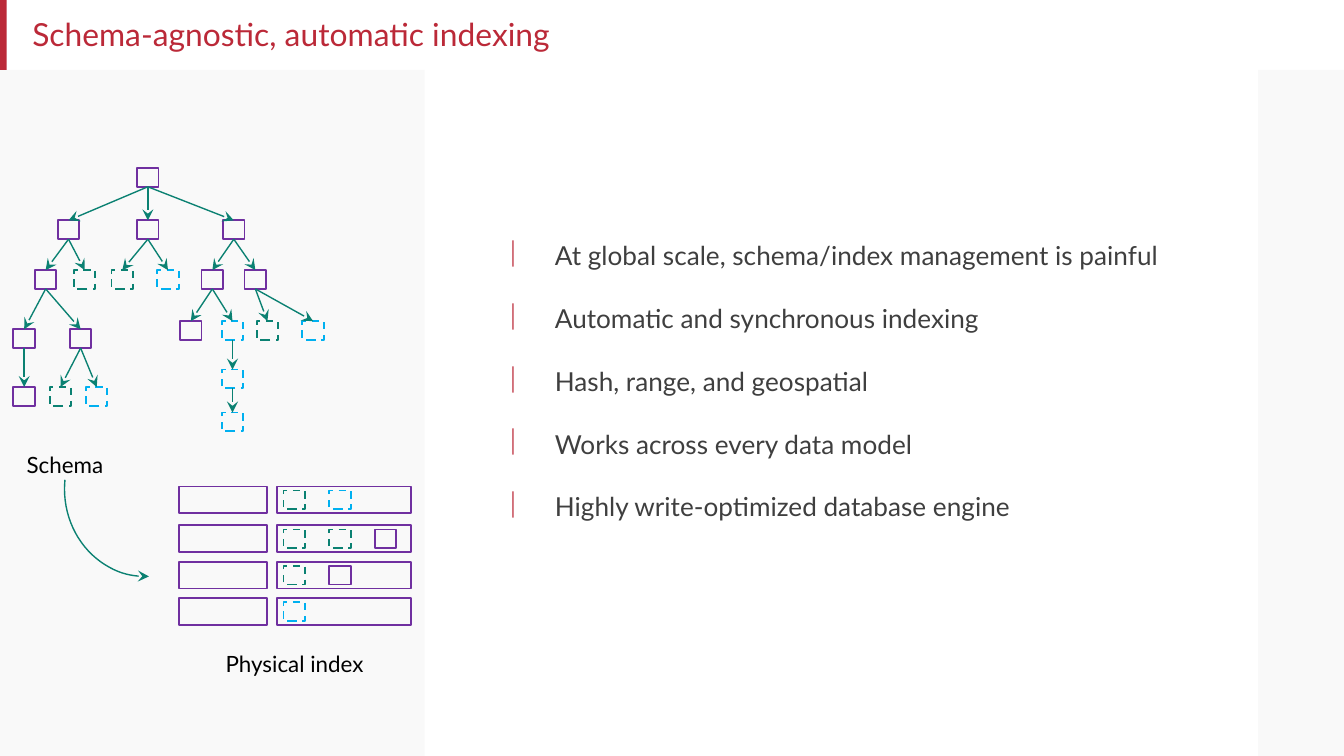
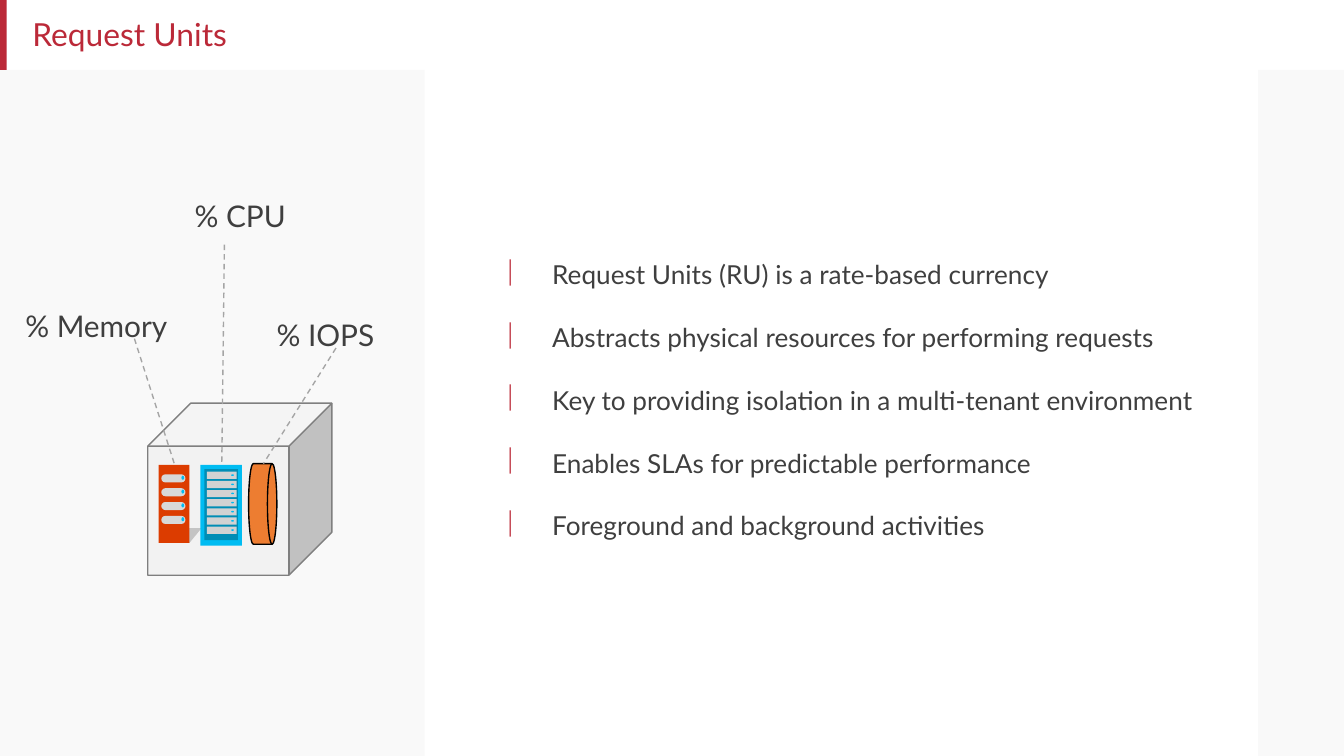
from lxml import etree
from pptx import Presentation
from pptx import util as u
from pptx.dml.color import RGBColor
from pptx.enum import dml, shapes, text
from pptx.oxml.ns import qn

CELL = 0.1
COLS, ROWS = 100, 56.25
FONT = "Lato"
RED, INK, BLACK, WHITE, PALE = "BB2938", "3F3F3F", "000000", "FFFFFF", "F9F9F9"
PURPLE, GREEN, BLUE, CYAN = "7030A0", "0B8172", "00B0F0", "00BCF2"
NODE_SIZE = (1.6, 1.4)
KIND = shapes.MSO_SHAPE

SCHEMA_TREE = (9.2, 0, PURPLE, [
    (3.3, 3.9, PURPLE, [
        (1.6, 7.6, PURPLE, [
            (0, 12, PURPLE, [(0, 16.3, PURPLE, [])]),
            (4.2, 12, PURPLE, [(2.7, 16.3, GREEN, []), (5.4, 16.3, BLUE, [])]),
        ]),
        (4.5, 7.6, GREEN, []),
    ]),
    (9.2, 3.9, PURPLE, [(7.3, 7.6, GREEN, []), (10.7, 7.6, BLUE, [])]),
    (15.6, 3.9, PURPLE, [
        (14, 7.6, PURPLE, [
            (12.4, 11.4, PURPLE, []),
            (15.5, 11.4, BLUE, [(15.5, 15, BLUE, [(15.5, 18.2, BLUE, [])])]),
        ]),
        (17.2, 7.6, PURPLE, [(18.1, 11.4, GREEN, []), (21.5, 11.4, BLUE, [])]),
    ]),
])
INDEX_ROWS = [(0, [GREEN, BLUE]), (2.9, [GREEN, GREEN, PURPLE]),
              (5.6, [GREEN, PURPLE]), (8.3, [BLUE])]
CALLOUTS = [
    ("% Memory", (0, 8.2, 18.2, 2.8), (9.1, 11), (12.1, 20.4)),
    ("% IOPS", (18.7, 8.9, 10.8, 2.8), (24.1, 11.7), (18.7, 20.3)),
    ("% CPU", (12.6, 0, 13.5, 2.8), (15.8, 4), (15.6, 20.4)),
]
INDEXING_POINTS = [
    "At global scale, schema/index management is painful",
    "Automatic and synchronous indexing",
    "Hash, range, and geospatial",
    "Works across every data model",
    "Highly write-optimized database engine",
]
REQUEST_POINTS = [
    "Request Units (RU) is a rate-based currency",
    "Abstracts physical resources for performing requests",
    "Key to providing isolation in a multi-tenant environment",
    "Enables SLAs for predictable performance",
    "Foreground and background activities",
]


def grid(n):
    """Turn a count of grid cells into a length."""
    return u.Inches(n * CELL)


def place(box, x, y, *size):
    """Lengths of a part whose corner is given relative to a box."""
    return [grid(n) for n in (box[0] + x, box[1] + y, *size)]


def apply(obj, **values):
    """Set each given attribute on an object."""
    for name, value in values.items():
        setattr(obj, name, value)


def paint(fill, color):
    """Fill with a hex colour, or clear when there is none."""
    if color is None:
        fill.background()
    else:
        fill.solid()
        fill.fore_color.rgb = RGBColor.from_string(color)


def outline(line, color, width=1, dashed=False):
    """Format a line."""
    paint(line.fill, color)
    if color:
        line.width = u.Pt(width)
    if dashed:
        line.dash_style = dml.MSO_LINE.DASH


def add(target, kind, pos, fill=None, line=None, width=1, dashed=False):
    """Add a preset shape without shadow."""
    s = target.add_shape(kind, *pos)
    s.shadow.inherit = False
    paint(s.fill, fill)
    outline(s.line, line, width, dashed)
    return s


def arrowhead(s, end):
    """Put a stealth arrowhead on one end of a line."""
    etree.SubElement(s.element.spPr.find(qn("a:ln")), qn(end), type="stealth")


def connect(target, start, end, color, dashed=False):
    """Add a thin straight connector without shadow."""
    s = target.add_connector(shapes.MSO_CONNECTOR.STRAIGHT, *start, *end)
    outline(s.line, color, 0.75, dashed)
    etree.SubElement(s.element.spPr, qn("a:effectLst"))
    return s


def write(p, words, size, color):
    """Add a run of text to a paragraph."""
    r = p.add_run()
    r.text = words
    apply(r.font, name=FONT, size=u.Pt(size))
    paint(r.font.fill, color)


def label(target, pos, words, size, color):
    """Add a one-line text box."""
    tf = target.add_textbox(*pos).text_frame
    tf.word_wrap = True
    write(tf.paragraphs[0], words, size, color)


def frame(prs, title):
    """Add a slide with its bands, white panel and title."""
    sl = prs.slides.add_slide(prs.slide_layouts[5])
    bands = [((0, 5.2, COLS, ROWS - 5.2), PALE), ((0, 0, 0.5, 5.2), RED),
             ((31.6, 5.1, 62, ROWS - 5.1), WHITE)]
    for box, color in bands:
        add(sl.shapes, KIND.RECTANGLE, place((0, 0), *box), color)
    s = sl.shapes.title
    left, top, width, height = place((0, 0), 1.4, 0, 88.6, 5.1)
    apply(s, left=left, top=top, width=width, height=height)
    tf = s.text_frame
    inset = grid(1)
    apply(tf, auto_size=text.MSO_AUTO_SIZE.NONE, word_wrap=True,
          vertical_anchor=text.MSO_ANCHOR.MIDDLE, margin_left=inset,
          margin_right=inset, margin_top=inset, margin_bottom=inset)
    p = tf.paragraphs[0]
    p.alignment = text.PP_ALIGN.LEFT
    write(p, title, 17, RED)
    return sl


def bullet_list(sl, box, points):
    """Write the points with red bar bullets, centred in the box."""
    tf = sl.shapes.add_textbox(*place(box, 0, 0, *box[2:])).text_frame
    apply(tf, word_wrap=True, vertical_anchor=text.MSO_ANCHOR.MIDDLE)
    for i, point in enumerate(points):
        p = tf.paragraphs[0] if i == 0 else tf.add_paragraph()
        p.space_before = u.Pt(16.8 if i else 0)
        pPr = p._p.get_or_add_pPr()
        pPr.set("marL", str(grid(5)))
        pPr.set("indent", str(grid(-3.5)))
        color = etree.SubElement(pPr, qn("a:buClr"))
        etree.SubElement(color, qn("a:srgbClr"), val=RED)
        etree.SubElement(pPr, qn("a:buChar"), char="|")
        write(p, point, 14, INK)


def node(target, box, x, y, color):
    """Add a small node, dashed unless purple."""
    return add(target, KIND.RECTANGLE, place(box, x, y, *NODE_SIZE),
               line=color, dashed=color != PURPLE)


def schema_tree(target, box, tree, parent=None):
    """Draw a node, the arrow from its parent, and its children."""
    x, y, color, children = tree
    s = node(target, box, x, y, color)
    if parent is not None:
        c = connect(target, (0, 0), (0, 0), GREEN)
        c.begin_connect(parent, 2)
        c.end_connect(s, 0)
        arrowhead(c, "a:tailEnd")
    for child in children:
        schema_tree(target, box, child, s)


def physical_index(target, box):
    """Draw the index rows: a key cell and a cell of nodes."""
    for y, colors in INDEX_ROWS:
        for x, width in ((0, 6.6), (7.3, 10)):
            add(target, KIND.RECTANGLE, place(box, x, y, width, 2), line=PURPLE)
        for i, color in enumerate(colors):
            node(target, box, 7.8 + 3.4 * i, y + 0.3, color)


def index_panel(sl, box):
    """Draw the schema tree, the physical index and the arrow between."""
    x, y = box
    schema_tree(sl.shapes.add_group_shape().shapes, (x + 1, y + 12.5), SCHEMA_TREE)
    physical_index(sl.shapes.add_group_shape().shapes, (x + 13.3, y + 36.2))
    arc = add(sl.shapes, KIND.ARC, place(box, 4.8, 29.9, 12.1, 13),
              line=GREEN, width=0.75)
    arc.adjustments[0], arc.adjustments[1] = 52.76, 111.97
    arrowhead(arc, "a:headEnd")
    label(sl.shapes, place(box, 1, 33.1, 9, 3), "Schema", 12, BLACK)
    label(sl.shapes, place(box, 15.8, 47.9, 15.8, 3), "Physical index", 12, BLACK)


def cast_shadow(target, box):
    """Draw the slanted translucent shadow beside the memory unit."""
    start, *rest = [place(box, *xy) for xy in
                    ((2, 9.3), (4, 9.3), (3.1, 10.4), (1, 10.4))]
    fb = target.build_freeform(*start, scale=1.0)
    fb.add_line_segments(rest)
    s = fb.convert_to_shape()
    s.shadow.inherit = False
    paint(s.fill, BLACK)
    outline(s.line, None)
    color = s.element.spPr.find(".//" + qn("a:srgbClr"))
    etree.SubElement(color, qn("a:alpha"), val="19000")


def slots(target, box, count, pitch, kind, size, color, light):
    """Stack equal slots, each with a small status light."""
    for i in range(count):
        add(target, kind, place(box, 0, i * pitch, *size), color)
        x, y, *light_size = light
        add(target, KIND.OVAL, place(box, x, y + i * pitch, *light_size), CYAN)


def server_cube(target, box):
    """Draw the cube holding memory, processor rack and disk."""
    x, y = box
    add(target, KIND.CUBE, place(box, 0, 0, 13.7, 12.8), "F2F2F2", "7F7F7F", 0.75)
    cast_shadow(target, box)
    add(target, KIND.RECTANGLE, place(box, 0.8, 4.6, 2.3, 5.8), "DC3C00")
    slots(target, (x + 1, y + 5.3), 4, 1.03, KIND.ROUNDED_RECTANGLE,
          (1.8, 0.6), "D8D8D8", (1.5, 0.1, 0.2, 0.3))
    for s in list(target)[-8::2]:
        s.adjustments[0] = 0.5
    add(target, KIND.RECTANGLE, place(box, 3.9, 4.6, 3.1, 6), CYAN)
    add(target, KIND.RECTANGLE, place(box, 4.2, 4.9, 2.5, 5.3), "008DB5")
    slots(target, (x + 4.4, y + 5.1), 7, 0.68, KIND.RECTANGLE,
          (2.2, 0.54), "D2D2D2", (1.8, 0.2, 0.2, 0.12))
    add(target, KIND.FLOWCHART_DIRECT_ACCESS_STORAGE,
        place(box, 7.5, 4.5, 2.1, 6), "ED7D31", BLACK, 0.75)


def callouts(target, box):
    """Label each resource with a dashed leader line."""
    for words, pos, start, end in CALLOUTS:
        connect(target, place(box, *start), place(box, *end), "A5A5A5", True)
        label(target, place(box, *pos), words, 16, INK)


def resource_panel(sl, box):
    """Draw the cube and its callouts as one group."""
    x, y = box
    target = sl.shapes.add_group_shape().shapes
    server_cube(target, (x + 11, y + 30))
    callouts(target, (x + 0.9, y + 14.2))


def main():
    """Build both slides and save them."""
    prs = Presentation()
    apply(prs, slide_width=grid(COLS), slide_height=grid(ROWS))
    sl = frame(prs, "Schema-agnostic, automatic indexing")
    bullet_list(sl, (35.3, 13.8, 57.5, 29.1), INDEXING_POINTS)
    index_panel(sl, (0, 0))
    sl = frame(prs, "Request Units")
    bullet_list(sl, (35.1, 14, 57.5, 31.5), REQUEST_POINTS)
    resource_panel(sl, (0, 0))
    prs.save("out.pptx")


if __name__ == "__main__":
    main()
